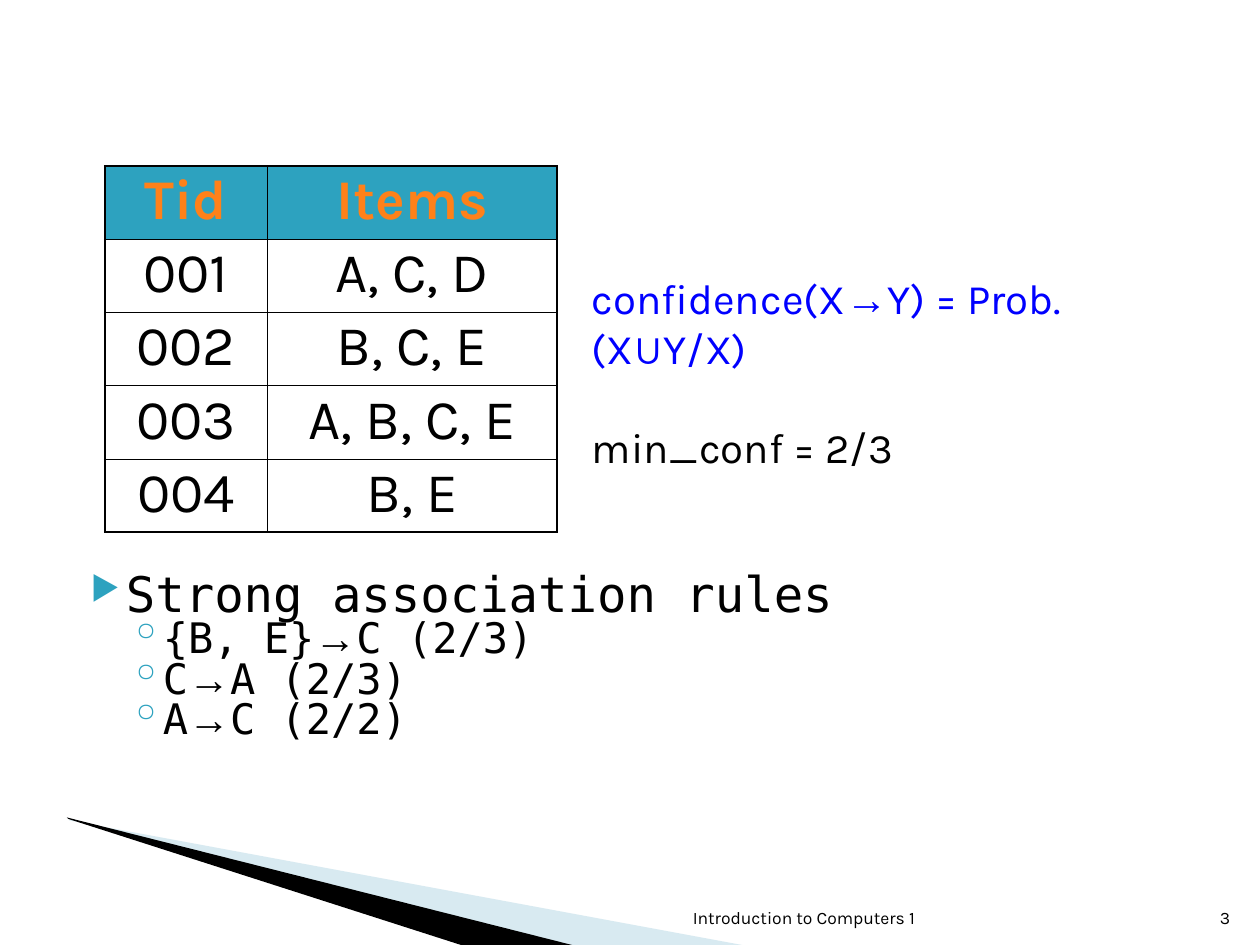
from lxml.etree import SubElement
from pptx import Presentation
from pptx.dml.color import RGBColor
from pptx.enum.text import MSO_ANCHOR as ANCHOR, PP_ALIGN as ALIGN
from pptx.oxml.ns import qn
from pptx.util import Cm, Pt

COLORS = {"teal": "2DA2BF", "pale": "9FCBDC", "orange": "FF8119",
          "blue": "0000FF", "black": "000000"}
SANS, MONO, SYMBOL = "Karla", "DejaVu Sans Mono", "Arial"
ROWS = [("Tid", "Items"), ("001", "A, C, D"), ("002", "B, C, E"),
        ("003", "A, B, C, E"), ("004", "B, E")]
RULES = ["{B, E}→C (2/3)", "C→A (2/3)", "A→C (2/2)"]


def rgb(name):
    return RGBColor.from_string(COLORS[name])


def write(p, text, size=24, font=SANS, color="black", bold=False, align=None):
    """Fill a paragraph, setting arrows and set signs in the symbol font."""
    p.alignment = align
    for sign in "→∪":
        text = text.replace(sign, f"\n{sign}\n")
    for part in text.split("\n"):
        r = p.add_run()
        r.text = part
        r.font.name = SYMBOL if part in ("→", "∪") else font
        r.font.size, r.font.bold = Pt(size), bold
        r.font.color.rgb = rgb(color)


def text_frame(slide, box, anchor=ANCHOR.TOP):
    tf = slide.shapes.add_textbox(*map(Cm, box)).text_frame
    tf.word_wrap, tf.vertical_anchor = True, anchor
    return tf


def add_bullet(p, char, left, hanging, percent=100):
    pPr = p._p.get_or_add_pPr()
    pPr.set("marL", str(Cm(left)))
    pPr.set("indent", str(-Cm(hanging)))
    clr = SubElement(pPr, qn("a:buClr"))
    SubElement(clr, qn("a:srgbClr"), val=COLORS["teal"])
    SubElement(pPr, qn("a:buSzPct"), val=str(percent * 1000))
    SubElement(pPr, qn("a:buChar"), char=char)


def set_borders(cell, **widths):
    tcPr = cell._tc.get_or_add_tcPr()
    for i, side in enumerate("LRTB"):
        ln = tcPr.makeelement(qn(f"a:ln{side}"), {"w": str(Pt(widths[side]))})
        fill = SubElement(ln, qn("a:solidFill"))
        SubElement(fill, qn("a:srgbClr"), val=COLORS["black"])
        tcPr.insert(i, ln)


def add_wedge(slide, left, top, points, color, alpha=100):
    pts = [(Cm(left + x), Cm(top + y)) for x, y in points]
    fb = slide.shapes.build_freeform(*pts[0])
    fb.add_line_segments(pts[1:], close=True)
    s = fb.convert_to_shape()
    s.shadow.inherit = False
    s.line.fill.background()
    s.fill.solid()
    s.fill.fore_color.rgb = rgb(color)
    clr = s.fill._xPr.find(qn("a:solidFill"))[0]
    SubElement(clr, qn("a:alpha"), val=str(alpha * 1000))


def add_decoration(slide, left, top):
    add_wedge(slide, left + 0.05, top + 0.03,
              [(0, 0.03), (13.72, 2.57), (10.19, 2.57), (0, 0)], "pale", 40)
    add_wedge(slide, left, top,
              [(0, 0), (10.26, 2.59), (8.1, 2.62), (0.03, 0.03)], "black")


def add_footer(slide, top, height=1.02):
    for left, width, text in [(11.3, 7.39, "Introduction to Computers 1"),
                              (24.03, 1.02, "3")]:
        tf = text_frame(slide, (left, top, width, height), ANCHOR.BOTTOM)
        write(tf.paragraphs[0], text, size=10, align=ALIGN.RIGHT)


def add_transactions(slide, box):
    table = slide.shapes.add_table(len(ROWS), 2, *map(Cm, box)).table
    for col, share in zip(table.columns, (0.36, 0.64)):
        col.width = Cm(box[2] * share)
    thick, thin, last = 1.08, 0.45, len(ROWS) - 1
    for i, row in enumerate(ROWS):
        header = i == 0
        for j, text in enumerate(row):
            cell = table.cell(i, j)
            if header:
                cell.fill.solid()
                cell.fill.fore_color.rgb = rgb("teal")
            else:
                cell.fill.background()
            set_borders(cell, L=thick, R=thick,
                        T=thick if i <= 1 else thin,
                        B=thick if i in (0, last) else thin)
            p = cell.text_frame.paragraphs[0]
            p.line_spacing = 0.9
            write(p, text, size=32, bold=header, align=ALIGN.CENTER,
                  color="orange" if header else "black")


def add_confidence(slide, box):
    tf = text_frame(slide, box)
    write(tf.paragraphs[0], "confidence(X→Y) = Prob.(X∪Y/X)", color="blue")
    p = tf.add_paragraph()
    p.space_before = Pt(28)
    write(p, "min_conf = 2/3")


def add_rules(slide, box):
    tf = text_frame(slide, box)
    p = tf.paragraphs[0]
    p.line_spacing = 0.8
    write(p, "Strong association rules", size=28, font=MONO)
    add_bullet(p, "▶", 1.02, 0.71, 68)
    for rule in RULES:
        p = tf.add_paragraph()
        p.level, p.line_spacing = 1, 0.8
        write(p, rule, font=MONO)
        add_bullet(p, "◦", 1.73, 0.64)


def main():
    prs = Presentation()
    prs.slide_width, prs.slide_height = Cm(25.4), Cm(19.05)
    slide = prs.slides.add_slide(prs.slide_layouts[6])
    add_decoration(slide, 1.35, 16.48)
    add_footer(slide, 17.81)
    add_rules(slide, (1.27, 11.46, 22.86, 4.7))
    add_transactions(slide, (2.11, 3.35, 9.12, 7.37))
    add_confidence(slide, (11.68, 5.36, 12.4, 4.3))
    prs.save("out.pptx")


if __name__ == "__main__":
    main()
